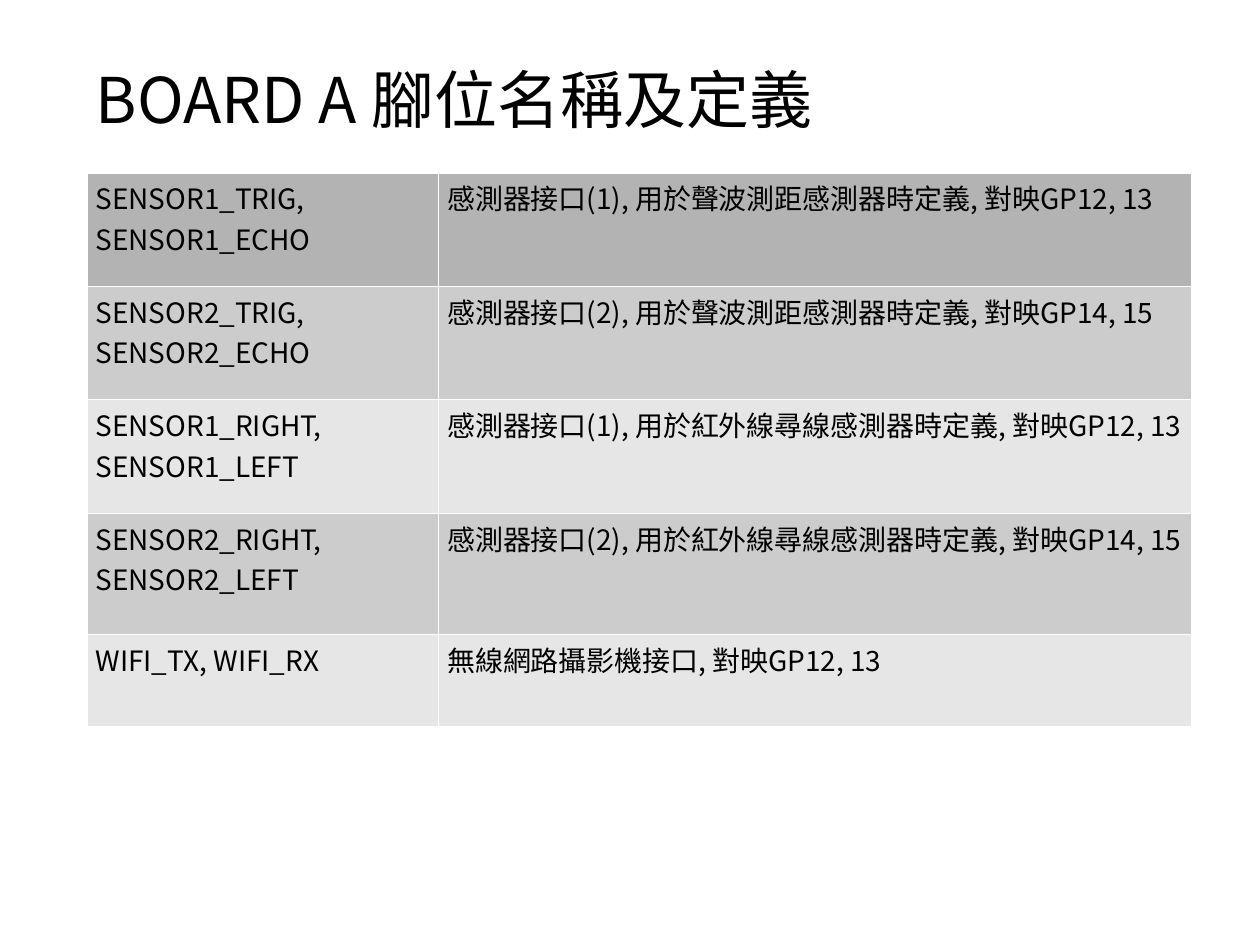
from lxml.etree import SubElement
from pptx import Presentation
from pptx.dml.color import RGBColor
from pptx.enum.text import MSO_ANCHOR
from pptx.oxml.ns import qn
from pptx.util import Inches, Pt

FONT = "Noto Sans CJK SC"
COLORS = {"text": "000000", "border": "FFFFFF", "header": "B3B3B3",
          "odd": "CCCCCC", "even": "E6E6E6"}
LEFT, INSET_X, INSET_Y = 0.69, 0.07, 0.04
COLUMNS = [2.79, 5.97]
ROWS = [0.9, 0.9, 0.9, 0.96, 0.73]
PINS = [
    ("SENSOR1_TRIG, SENSOR1_ECHO", "感測器接口(1), 用於聲波測距感測器時定義, 對映GP12, 13"),
    ("SENSOR2_TRIG, SENSOR2_ECHO", "感測器接口(2), 用於聲波測距感測器時定義, 對映GP14, 15"),
    ("SENSOR1_RIGHT, SENSOR1_LEFT", "感測器接口(1), 用於紅外線尋線感測器時定義, 對映GP12, 13"),
    ("SENSOR2_RIGHT, SENSOR2_LEFT", "感測器接口(2), 用於紅外線尋線感測器時定義, 對映GP14, 15"),
    ("WIFI_TX, WIFI_RX", "無線網路攝影機接口, 對映GP12, 13"),
]


def write_text(holder, frame, text, size):
    """Fill a text box or cell; both carry the same four margins."""
    holder.margin_left = holder.margin_right = Inches(INSET_X)
    holder.margin_top = holder.margin_bottom = Inches(INSET_Y)
    frame.word_wrap = True
    paragraph = frame.paragraphs[0]
    run = paragraph.add_run()
    run.text = text
    font = paragraph.font
    font.size, font.name = Pt(size), FONT
    font.color.rgb = RGBColor.from_string(COLORS["text"])
    # The East Asian glyphs need their own typeface entry
    SubElement(run.font._element, qn("a:ea"), typeface=FONT)
    return paragraph


def add_borders(cell):
    properties = cell._tc.get_or_add_tcPr()
    for index, side in enumerate(("lnL", "lnR", "lnT", "lnB")):
        line = properties.makeelement(qn(f"a:{side}"), {"w": str(Pt(0.06))})
        fill = SubElement(line, qn("a:solidFill"))
        SubElement(fill, qn("a:srgbClr"), val=COLORS["border"])
        properties.insert(index, line)


def add_title(slide, text):
    box = slide.shapes.add_textbox(Inches(LEFT), Inches(0.52), Inches(8.62), Inches(0.54))
    frame = box.text_frame
    frame.vertical_anchor = MSO_ANCHOR.TOP
    write_text(frame, frame, text, 36).line_spacing = 0.87


def add_pin_table(slide, pins):
    table = slide.shapes.add_table(
        len(ROWS), len(COLUMNS), Inches(LEFT), Inches(1.37),
        Inches(sum(COLUMNS)), Inches(sum(ROWS))).table
    for column, width in zip(table.columns, COLUMNS):
        column.width = Inches(width)
    for number, (row, height, texts) in enumerate(zip(table.rows, ROWS, pins)):
        row.height = Inches(height)
        band = "header" if number == 0 else "odd" if number % 2 else "even"
        for cell, text in zip(row.cells, texts):
            write_text(cell, cell.text_frame, text, 16).font.bold = False
            cell.fill.solid()
            cell.fill.fore_color.rgb = RGBColor.from_string(COLORS[band])
            add_borders(cell)


def main():
    deck = Presentation()
    deck.slide_width, deck.slide_height = Inches(10), Inches(7.5)
    slide = deck.slides.add_slide(deck.slide_layouts[6])
    # Heading, then the pin definitions
    add_title(slide, "BOARD A 腳位名稱及定義")
    add_pin_table(slide, PINS)
    deck.save("out.pptx")


if __name__ == "__main__":
    main()
